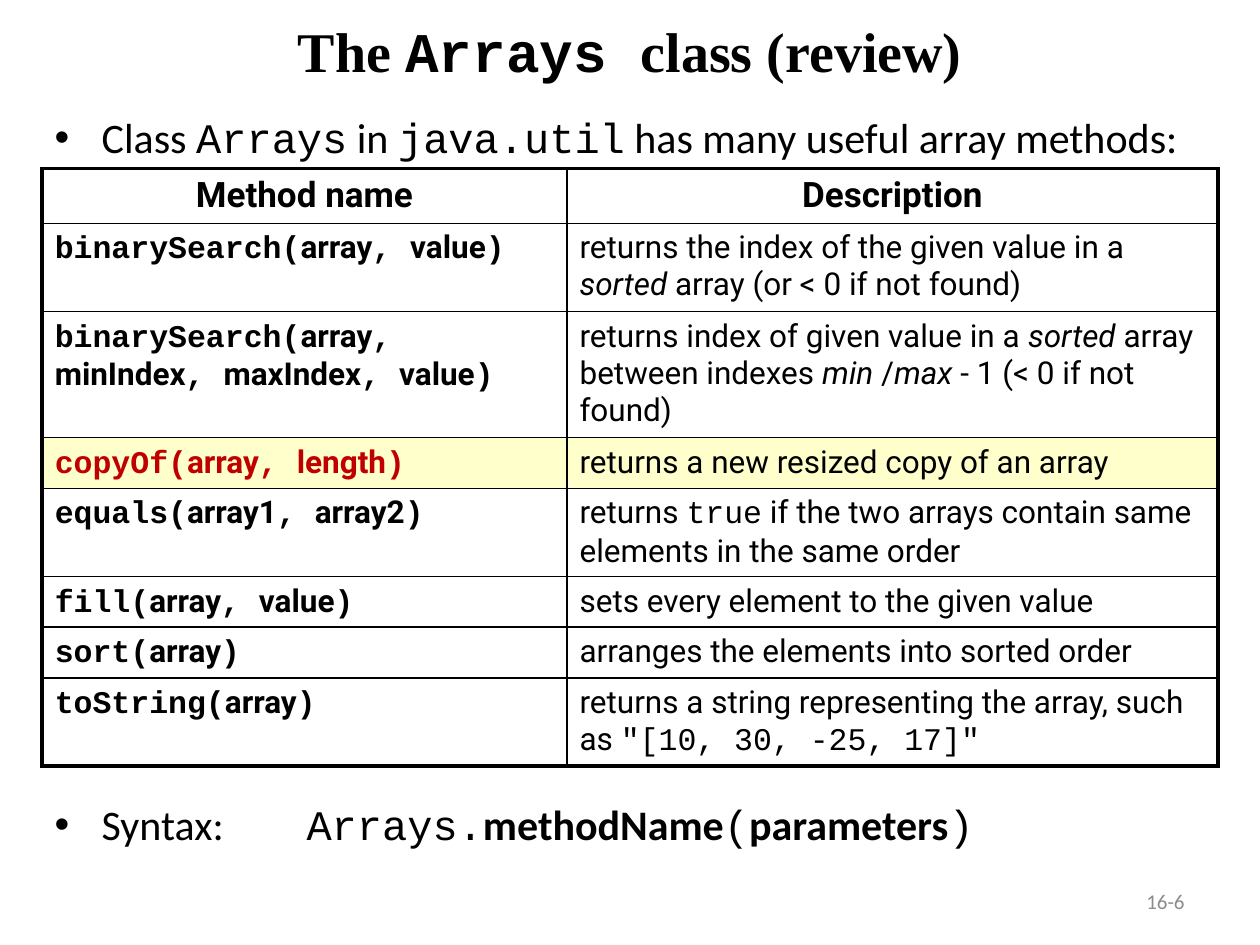
from lxml.etree import SubElement as Sub
from pptx import Presentation
from pptx.dml.color import RGBColor as RGB
from pptx.enum.text import MSO_ANCHOR as Anchor, PP_ALIGN as Align
from pptx.oxml.ns import qn
from pptx.util import Cm, Pt

COLORS = {"text": "000000", "number": "8C8C8C", "highlight": "C00000",
          "cell": "FFFFFF", "marked": "FFFFCC", "border": "000000"}
MONO, BODY, TABLE, TITLE = "Courier New", "Calibri", "Roboto", "Times New Roman"
THICK, THIN = Pt(2.25), Pt(1)

# Method name, parameters, description as (text, format) runs
METHODS = [
    ("binarySearch", ["array", "value"],
     [("returns the index of the given value in a ", {}),
      ("sorted", {"italic": True}),
      (" array (or < 0 if not found)", {})]),
    ("binarySearch", ["array", "minIndex", "maxIndex", "value"],
     [("returns index of given value in a ", {}),
      ("sorted", {"italic": True}),
      (" array between indexes ", {}),
      ("min ", {"italic": True}),
      ("/", {}),
      ("max ", {"italic": True}),
      ("- 1 (< 0 if not found)", {})]),
    ("copyOf", ["array", "length"],
     [("returns a new resized copy of an array", {})]),
    ("equals", ["array1", "array2"],
     [("returns ", {}),
      ("true", {"font": MONO}),
      (" if the two arrays contain same elements in the same order", {})]),
    ("fill", ["array", "value"],
     [("sets every element to the given value", {})]),
    ("sort", ["array"],
     [("arranges the elements into sorted order", {})]),
    ("toString", ["array"],
     [("returns a string representing the array, such as ", {}),
      ('"[10, 30, -25, 17]"', {"font": MONO})]),
]
MARKED = "copyOf"
ROW_HEIGHTS = [1.09, 1.78, 1.78, 1.02, 1.78, 1.02, 1.02, 1.78]
COLUMN_WIDTHS = [10.58, 13.12]


def add_run(p, text, font=BODY, size=24, color="text", bold=False, italic=False):
    r = p.add_run()
    r.text = text
    r.font.name, r.font.size = font, Pt(size)
    r.font.bold, r.font.italic = bold, italic
    r.font.color.rgb = RGB.from_string(COLORS[color])


def add_textbox(s, left, top, width, height, align=Align.LEFT, anchor=Anchor.TOP):
    tf = s.shapes.add_textbox(Cm(left), Cm(top), Cm(width), Cm(height)).text_frame
    tf.word_wrap = True
    tf.vertical_anchor = anchor
    p = tf.paragraphs[0]
    p.alignment = align
    return p


def add_bullet(s, top, runs, tab=None):
    p = add_textbox(s, 0.85, top, 23.7, 1.3)
    pPr = p._p.get_or_add_pPr()
    pPr.set("marL", str(Cm(0.95)))
    pPr.set("indent", str(-Cm(0.95)))
    Sub(pPr, qn("a:buFont"), typeface="Arial")
    Sub(pPr, qn("a:buChar"), char="•")
    if tab:
        tabs = Sub(pPr, qn("a:tabLst"))
        Sub(tabs, qn("a:tab"), pos=str(Cm(tab)), algn="l")
    for text, fmt in runs:
        add_run(p, text, **fmt)


def style_cell(cell, fill, **borders):
    tcPr = cell._tc.get_or_add_tcPr()
    for side in "LRTB":
        ln = Sub(tcPr, qn(f"a:ln{side}"), w=str(borders.get(side, THIN)))
        Sub(Sub(ln, qn("a:solidFill")), qn("a:srgbClr"), val=COLORS["border"])
    cell.fill.solid()
    cell.fill.fore_color.rgb = RGB.from_string(COLORS[fill])


def write_signature(p, name, params, color):
    fmt = {"size": 18, "bold": True, "color": color}
    add_run(p, name + "(", font=MONO, **fmt)
    for i, param in enumerate(params):
        if i:
            add_run(p, ", ", font=MONO, **fmt)
        add_run(p, param, font=TABLE, **fmt)
    add_run(p, ")", font=MONO, **fmt)


def add_method_table(s):
    rows, cols = len(ROW_HEIGHTS), len(COLUMN_WIDTHS)
    table = s.shapes.add_table(rows, cols, Cm(0.85), Cm(3.4),
                               Cm(sum(COLUMN_WIDTHS)), Cm(sum(ROW_HEIGHTS))).table
    for column, width in zip(table.columns, COLUMN_WIDTHS):
        column.width = Cm(width)
    for row, height in zip(table.rows, ROW_HEIGHTS):
        row.height = Cm(height)

    # Header row
    for c, heading in enumerate(["Method name", "Description"]):
        p = table.cell(0, c).text_frame.paragraphs[0]
        p.alignment = Align.CENTER
        add_run(p, heading, font=TABLE, size=20, bold=True)

    # One row per method
    for i, (name, params, description) in enumerate(METHODS, 1):
        color = "highlight" if name == MARKED else "text"
        write_signature(table.cell(i, 0).text_frame.paragraphs[0], name, params, color)
        p = table.cell(i, 1).text_frame.paragraphs[0]
        for text, fmt in description:
            add_run(p, text, **{"font": TABLE, "size": 18, **fmt})

    # Thick outer frame, thin inner lines
    fills = ["cell"] + ["marked" if m[0] == MARKED else "cell" for m in METHODS]
    for i, fill in enumerate(fills):
        for c in range(cols):
            style_cell(table.cell(i, c), fill,
                       L=THIN if c else THICK,
                       R=THICK if c == cols - 1 else THIN,
                       T=THIN if i else THICK,
                       B=THICK if i == rows - 1 else THIN)


def main():
    prs = Presentation()
    prs.slide_width, prs.slide_height = Cm(25.4), Cm(19.05)
    s = prs.slides.add_slide(prs.slide_layouts[6])

    # Page number
    p = add_textbox(s, 18.2, 17.65, 5.93, 1.02, Align.RIGHT, Anchor.MIDDLE)
    add_run(p, "16-6", size=12, color="number")

    # Title
    p = add_textbox(s, 1.27, 0.2, 22.86, 1.9, Align.CENTER)
    for text, font in [("The ", TITLE), ("Arrays ", MONO), ("class (review)", TITLE)]:
        add_run(p, text, font=font, size=32, bold=True)

    # Bullets above and below the table
    mono, strong = {"font": MONO}, {"bold": True}
    add_bullet(s, 2.12, [("Class ", {}), ("Arrays", mono), (" in ", {}),
                         ("java.util", mono),
                         (" has many useful array methods:", {})])
    add_bullet(s, 15.97, [("Syntax:\t", {}), ("Arrays.", mono),
                          ("methodName", strong), ("(", mono),
                          ("parameters", strong), (")", mono)], tab=5.08)

    add_method_table(s)
    prs.save("out.pptx")


if __name__ == "__main__":
    main()
